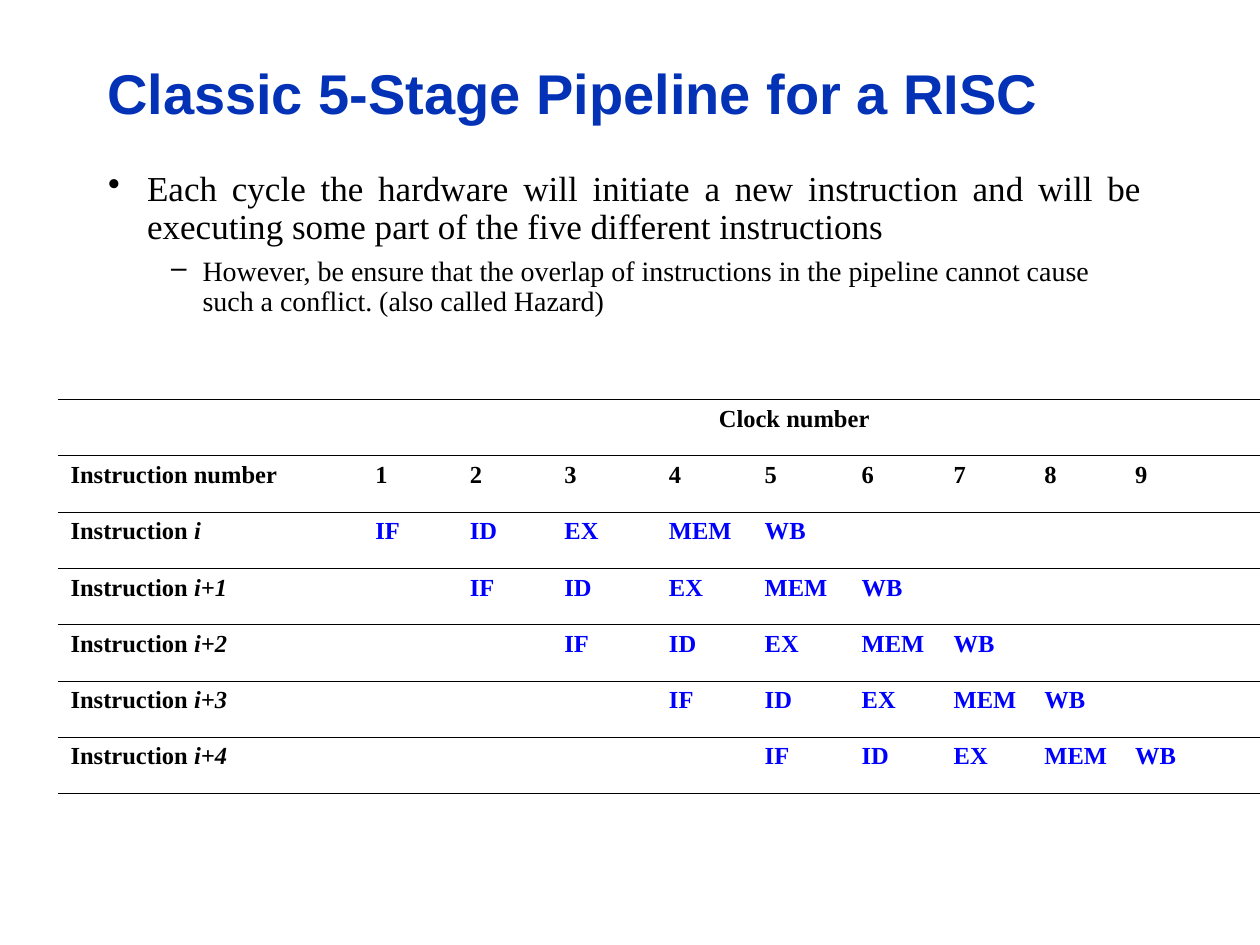
from dataclasses import dataclass

from lxml import etree
from pptx import Presentation
from pptx.dml.color import RGBColor
from pptx.enum.text import MSO_ANCHOR, MSO_AUTO_SIZE, PP_ALIGN
from pptx.oxml.ns import qn
from pptx.util import Inches, Pt

LEFT, CENTER, JUSTIFY = PP_ALIGN.LEFT, PP_ALIGN.CENTER, PP_ALIGN.JUSTIFY
TOP, MIDDLE = MSO_ANCHOR.TOP, MSO_ANCHOR.MIDDLE
NO_FIT = MSO_AUTO_SIZE.NONE
TITLE_ONLY = 5
PLAIN_TABLE = "{2D5ABB26-0587-4C30-8999-92F81FD0307C}"


@dataclass(frozen=True)
class Theme:
    title_font: str = "Arial"
    body_font: str = "Times New Roman"
    title_color: str = "0332B7"
    text_color: str = "000000"
    stage_color: str = "0000FF"
    title_size: float = 32
    bullet_size: float = 20
    sub_size: float = 16
    table_size: float = 14
    thin: float = 0.45
    thick: float = 1.08


THEME = Theme()
STAGES = ["IF", "ID", "EX", "MEM", "WB"]
CYCLES = 9
INSTRUCTIONS = ["i", "i+1", "i+2", "i+3", "i+4"]
COL_WIDTHS = [2.42, 0.75, 0.75, 0.83, 0.76, 0.77, 0.73, 0.72, 0.72, 0.72]
BULLETS = [
    ("Each cycle the hardware will initiate a new instruction and will be "
     "executing some part of the five different instructions",
     "•", THEME.bullet_size, JUSTIFY, 0.31, 0.31, 7.5),
    ("However, be ensure that the overlap of instructions in the pipeline "
     "cannot cause such a conflict. (also called Hazard)",
     "–", THEME.sub_size, LEFT, 0.75, 0.25, 6),
]


def add_run(p, text, size, color=THEME.text_color, font=THEME.body_font,
            bold=False, italic=False):
    r = p.add_run()
    r.text = text
    r.font.name = font
    r.font.size = Pt(size)
    r.font.bold = bold
    r.font.italic = italic
    r.font.color.rgb = RGBColor.from_string(color)


def set_paragraph(p, align, spacing, before):
    p.alignment = align
    p.line_spacing = spacing
    p.space_before = Pt(before)


def set_bullet(p, char, margin, hang):
    pPr = p._p.get_or_add_pPr()
    pPr.set("marL", str(Inches(margin)))
    pPr.set("indent", str(-Inches(hang)))
    color = etree.SubElement(pPr, qn("a:buClr"))
    etree.SubElement(color, qn("a:srgbClr"), val=THEME.text_color)
    etree.SubElement(pPr, qn("a:buChar"), char=char)


def set_borders(cell, top, bottom):
    tcPr = cell._tc.get_or_add_tcPr()
    for side, width in (("L", 0), ("R", 0), ("T", top), ("B", bottom)):
        ln = etree.SubElement(tcPr, qn(f"a:ln{side}"), w=str(Pt(width)))
        if width:
            fill = etree.SubElement(ln, qn("a:solidFill"))
            etree.SubElement(fill, qn("a:srgbClr"), val=THEME.text_color)
        else:
            etree.SubElement(ln, qn("a:noFill"))


def add_title(s, x, y, w, h):
    sp = s.shapes.title
    sp.left, sp.top, sp.width, sp.height = map(Inches, (x, y, w, h))
    tf = sp.text_frame
    tf.auto_size = NO_FIT
    tf.vertical_anchor = MIDDLE
    p = tf.paragraphs[0]
    set_paragraph(p, LEFT, 0.9, 0)
    add_run(p, "Classic 5-Stage Pipeline for a RISC", THEME.title_size,
            THEME.title_color, THEME.title_font, bold=True)


def add_bullets(s, x, y, w, h):
    tf = s.shapes.add_textbox(*map(Inches, (x, y, w, h))).text_frame
    tf.word_wrap = True
    tf.auto_size = NO_FIT
    for level, (text, char, size, align, margin, hang, before) in enumerate(BULLETS):
        p = tf.add_paragraph() if level else tf.paragraphs[0]
        p.level = level
        set_paragraph(p, align, 0.9, before)
        set_bullet(p, char, margin, hang)
        add_run(p, text, size)


def write_cell(cell, text, align=LEFT, color=THEME.text_color, italic_part=""):
    p = cell.text_frame.paragraphs[0]
    set_paragraph(p, align, 0.93, 3.5)
    add_run(p, text, THEME.table_size, color, bold=True)
    if italic_part:
        add_run(p, italic_part, THEME.table_size, color, bold=True, italic=True)


def add_pipeline_table(s, x, y, w, h):
    rows, cols = len(INSTRUCTIONS) + 2, CYCLES + 1
    frame = s.shapes.add_table(rows, cols, *map(Inches, (x, y, w, h)))
    table = frame.table
    table.first_row = table.horz_banding = False
    table._tbl.tblPr.find(qn("a:tableStyleId")).text = PLAIN_TABLE
    for column, width in zip(table.columns, COL_WIDTHS):
        column.width = Inches(width)
    for i, row in enumerate(table.rows):
        row.height = Inches(h / rows)
        for cell in row.cells:
            cell.margin_left = cell.margin_right = Inches(0.1)
            cell.margin_top, cell.margin_bottom = Inches(0.06), Inches(0.05)
            cell.vertical_anchor = TOP
            set_borders(cell, THEME.thin if i else THEME.thick,
                        THEME.thick if i == rows - 1 else THEME.thin)
            cell.fill.background()

    header = table.cell(0, 0)
    header.merge(table.cell(0, cols - 1))
    header.margin_left = Inches(1.6)
    write_cell(header, "Clock number", CENTER)

    write_cell(table.cell(1, 0), "Instruction number")
    for cycle in range(1, cols):
        write_cell(table.cell(1, cycle), str(cycle))
    for i, name in enumerate(INSTRUCTIONS):
        write_cell(table.cell(i + 2, 0), "Instruction ", italic_part=name)
        for j, stage in enumerate(STAGES, start=i + 1):
            write_cell(table.cell(i + 2, j), stage, color=THEME.stage_color)


def main():
    prs = Presentation()
    prs.slide_width, prs.slide_height = Inches(10), Inches(7.5)
    s = prs.slides.add_slide(prs.slide_layouts[TITLE_ONLY])
    add_title(s, 0.75, 0.36, 7.98, 0.81)
    add_bullets(s, 0.76, 1.31, 8.4, 5.39)
    add_pipeline_table(s, 0.46, 3.17, 9.17, 3.13)
    prs.save("out.pptx")


if __name__ == "__main__":
    main()
